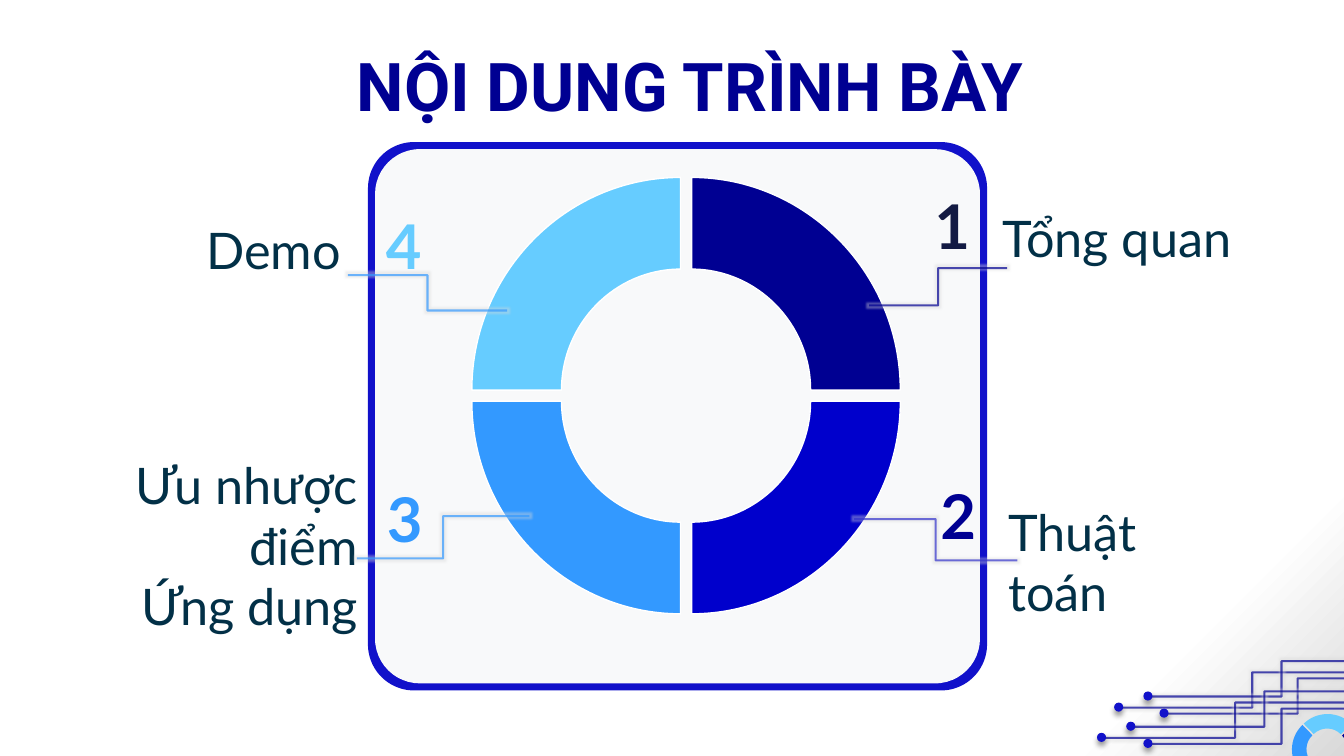
from math import cos, sin, radians
from lxml import etree
from pptx import Presentation
from pptx.dml.color import RGBColor
from pptx.enum.shapes import MSO_CONNECTOR, MSO_SHAPE
from pptx.enum.text import MSO_AUTO_SIZE, PP_ALIGN
from pptx.oxml.ns import qn
from pptx.util import Inches, Pt

LEFT, CENTER, RIGHT = PP_ALIGN.LEFT, PP_ALIGN.CENTER, PP_ALIGN.RIGHT
ELBOW = MSO_CONNECTOR.ELBOW
ROUND_RECT, OVAL = MSO_SHAPE.ROUNDED_RECTANGLE, MSO_SHAPE.OVAL

# Content: lines, left, top, width, height, alignment
TITLE = (["NỘI DUNG TRÌNH BÀY"], 0.18, 0.39, 13.33, 0.91, CENTER)
TOPICS = [
    (["Tổng quan"], 9.84, 2.01, 2.5, 0.71, LEFT),
    (["Thuật toán"], 9.9, 4.92, 2.5, 0.71, LEFT),
    (["Ưu nhược điểm", "Ứng dụng"], 0.31, 4.46, 3.34, 1.31, RIGHT),
    (["Demo"], 0.71, 2.12, 2.77, 0.71, RIGHT),
]
# Number, left, top, colour
NUMBERS = [
    ("1", 9.04, 1.82, "131A43"),
    ("2", 9.1, 4.69, "000092"),
    ("3", 3.61, 4.72, "3399FF"),
    ("4", 3.6, 2.01, "66CCFF"),
]
# Start x, start y, end x, end y, colour
LEADERS = [
    (8.62, 3.03, 9.99, 2.66, "000092"),
    (8.47, 5.15, 10.09, 5.56, "3333CC"),
    (3.54, 5.54, 5.25, 5.12, "3399FF"),
    (3.45, 2.73, 5.03, 3.08, "3399FF"),
]
# Horizontal side, vertical side, colour
QUADRANTS = [
    (1, -1, "000092"),
    (1, 1, "0000CC"),
    (-1, 1, "3399FF"),
    (-1, -1, "66CCFF"),
]
PANELS = [(3.65, 1.41, 6.14, 5.44, "1111CA"), (3.72, 1.48, 6, 5.3, "F8F9FA")]
CIRCUIT_STARTS = [(11.1, 7.02), (11.39, 6.91), (11.55, 7.08),
                  (10.93, 7.32), (11.22, 7.21), (11.39, 7.38)]
CIRCUIT_RUN, CIRCUIT_RISE, DOT = 2.64, 0.35, 0.09
GAP, OUTER, INNER = 0.055, (2.07, 2.11), (1.18, 1.2)
BEND = 0.55  # control point distance of a quarter arc, as a share of its radius

prs = Presentation()
prs.slide_width, prs.slide_height = Inches(13.33), Inches(7.5)
s = prs.slides.add_slide(prs.slide_layouts[6])


def rgb(color):
    return RGBColor.from_string(color)


def paint(sp, color, outline=None):
    sp.shadow.inherit = False
    sp.fill.solid()
    sp.fill.fore_color.rgb = rgb(color)
    if outline:
        sp.line.color.rgb = rgb(outline)
        sp.line.width = Pt(1)
    else:
        sp.line.fill.background()


def add_shape(kind, x, y, w, h, color):
    sp = s.shapes.add_shape(kind, Inches(x), Inches(y), Inches(w), Inches(h))
    paint(sp, color)
    return sp


def add_text(lines, x, y, w, h, align, size, color, font="Lato", bold=False):
    tf = s.shapes.add_textbox(Inches(x), Inches(y), Inches(w), Inches(h)).text_frame
    tf.word_wrap = True
    tf.auto_size = MSO_AUTO_SIZE.SHAPE_TO_FIT_TEXT
    tf.text = "\n".join(lines)
    for p in tf.paragraphs:
        p.alignment = align
        f = p.runs[0].font
        f.name, f.size, f.bold = font, Pt(size), bold
        f.color.rgb = rgb(color)


def add_effect(effects, kind, color, alpha, **settings):
    effect = etree.SubElement(effects, qn(kind), **settings)
    tint = etree.SubElement(effect, qn("a:srgbClr"), val=color)
    etree.SubElement(tint, qn("a:alpha"), val=str(alpha * 1000))


def add_elbow(x1, y1, x2, y2, color):
    c = s.shapes.add_connector(ELBOW, Inches(x1), Inches(y1), Inches(x2), Inches(y2))
    c.line.color.rgb = rgb(color)
    c.line.width = Pt(1.5)
    tint = c.line._ln.find(".//" + qn("a:srgbClr"))
    etree.SubElement(tint, qn("a:alpha"), val="70000")
    effects = etree.SubElement(c._element.spPr, qn("a:effectLst"))
    add_effect(effects, "a:glow", "D9D9D9", 40, rad=str(Pt(3)))


def add_quadrant(cx, cy, side_x, side_y, color, scale=1, turn=0, outline=None):
    """Quarter ring: outer arc out, inner arc back, turned about the centre."""
    arc = [(1, 0), (1, BEND), (BEND, 1), (0, 1)]
    points = [(Inches(cx + side_x * (GAP + rx * u) * scale),
               Inches(cy + side_y * (GAP + ry * v) * scale))
              for (rx, ry), sweep in [(OUTER, arc), (INNER, arc[::-1])]
              for u, v in sweep]
    fb = s.shapes.build_freeform(*points[0])
    fb.add_line_segments(points[1:], close=True)
    sp = fb.convert_to_shape()
    paint(sp, color, outline)
    # Join each arc's two control points and end point into one curve
    segments = list(sp._element.iter(qn("a:lnTo")))
    for trio in (segments[:3], segments[4:7]):
        curve = etree.Element(qn("a:cubicBezTo"))
        trio[0].addprevious(curve)
        for segment in trio:
            curve.append(segment[0])
            segment.getparent().remove(segment)
    # Move the piece round the ring's centre
    dx = side_x * (GAP + OUTER[0] / 2) * scale
    dy = side_y * (GAP + OUTER[1] / 2) * scale
    t = radians(turn)
    sp.left = Inches(cx + dx * cos(t) - dy * sin(t)) - sp.width // 2
    sp.top = Inches(cy + dx * sin(t) + dy * cos(t)) - sp.height // 2
    sp.rotation = turn


# Background: white fading to grey in the bottom right corner
fill = s.background.fill
fill.gradient()
for stop, (pos, color) in zip(fill.gradient_stops, [(0.87, "FFFFFF"), (1, "D9D9D9")]):
    stop.position = pos
    stop.color.rgb = rgb(color)
grad = s._element.find(".//" + qn("a:gradFill"))
grad.remove(grad.find(qn("a:lin")))
radial = etree.SubElement(grad, qn("a:path"), {"path": "circle"})
etree.SubElement(radial, qn("a:fillToRect"), r="100000", b="100000")

# Panel and ring
for panel in PANELS:
    add_shape(ROUND_RECT, *panel).adjustments[0] = 0.084
for side_x, side_y, color in QUADRANTS:
    add_quadrant(6.805, 3.925, side_x, side_y, color, outline="FFFFFF")

# Title, topics, numbers and leader lines
for topic in TOPICS:
    add_text(*topic, 36, "023047")
add_text(*TITLE, 48, "000092", "Roboto", True)
for number, x, y, color in NUMBERS:
    add_text([number], x, y, 0.81, 0.84, CENTER, 44, color, bold=True)
for leader in LEADERS:
    add_elbow(*leader)

# Small turned ring in the corner; its lower quarter falls outside the slide
for side_x, side_y, color in QUADRANTS:
    if (side_x, side_y) != (1, 1):
        add_quadrant(13.16, 7.43, side_x, side_y, color, scale=0.16, turn=46)

# Circuit lines with shadowed dots
for x, y in CIRCUIT_STARTS:
    add_elbow(x, y, x + CIRCUIT_RUN, y - CIRCUIT_RISE, "000092")
    dot = add_shape(OVAL, x - 0.05, y - 0.05, DOT, DOT, "1111CA")
    effects = dot._element.spPr.find(qn("a:effectLst"))
    add_effect(effects, "a:outerShdw", "000000", 40, blurRad=str(Pt(4)),
               dist=str(Pt(3)), dir="5400000", rotWithShape="0")

prs.save("out.pptx")
